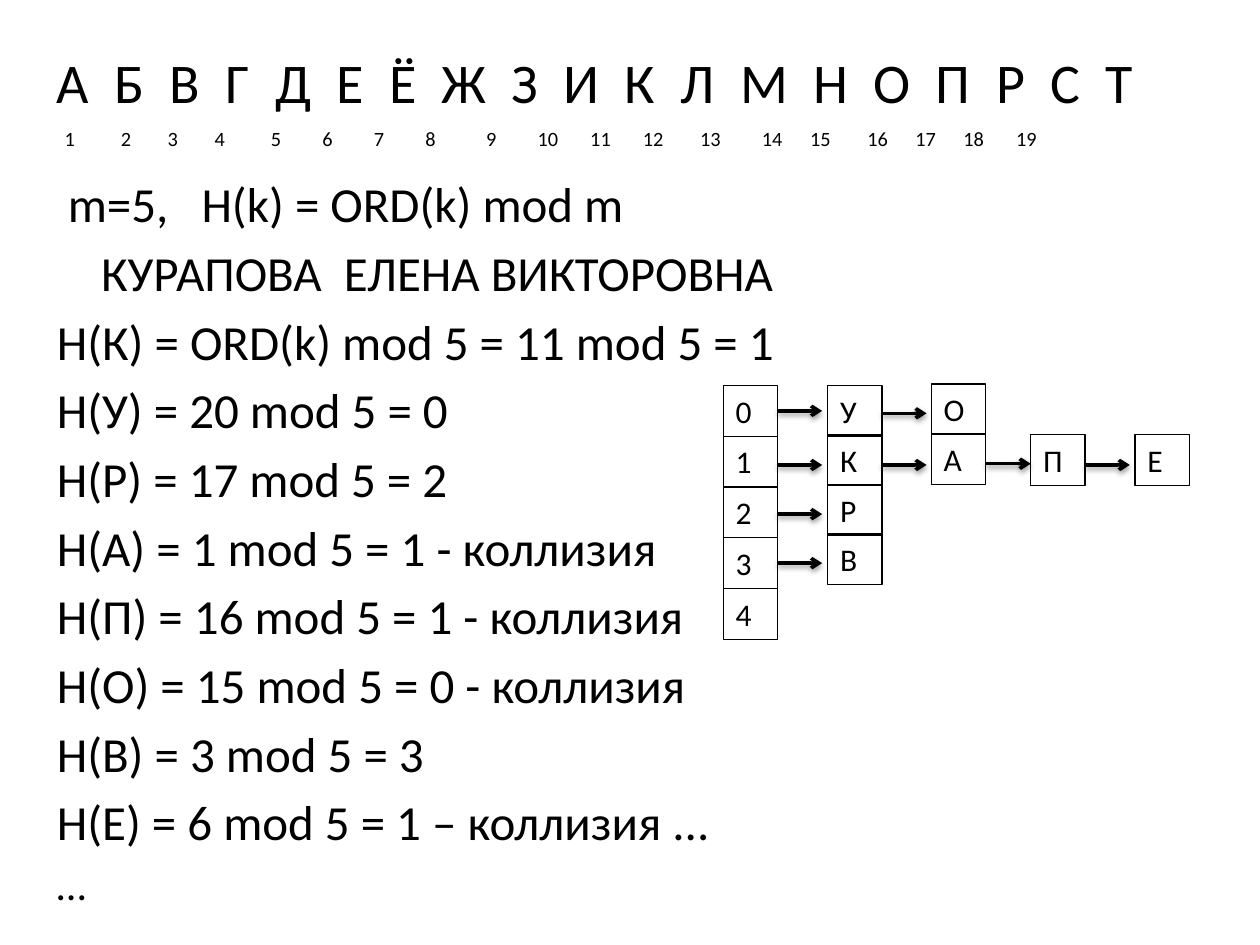
from lxml.etree import SubElement
from pptx import Presentation
from pptx.dml.color import RGBColor
from pptx.enum.shapes import MSO_CONNECTOR as CONN, MSO_SHAPE as SHAPE
from pptx.enum.text import MSO_ANCHOR as ANCHOR, PP_ALIGN as ALIGN
from pptx.oxml import parse_xml
from pptx.oxml.ns import nsdecls, qn
from pptx.util import Pt

BLACK = RGBColor(0, 0, 0)
FONT = "Calibri"
CELL_W, CELL_H = 31, 29
ARROW_W = 25.5

LETTERS = "А  Б  В  Г  Д  Е  Ё  Ж  З  И  К  Л  М  Н  О  П  Р  С  Т"
NUMBERS = ("1          2        3        4          5         6         7         8"
           "           9         10       11       12        13         14      15"
           "        16      17      18       19")
HASHES = [
    "H(К) = ORD(k) mod 5 = 11 mod 5 = 1",
    "H(У) = 20 mod 5 = 0",
    "H(Р) = 17 mod 5 = 2",
    "H(А) = 1 mod 5 = 1 - коллизия",
    "H(П) = 16 mod 5 = 1 - коллизия",
    "H(О) = 15 mod 5 = 0 - коллизия",
    "H(В) = 3 mod 5 = 3",
    "H(Е) = 6 mod 5 = 1 – коллизия ...",
]
# Columns of the hash table: left, top, row pitch, cells
COLUMNS = [
    (413.3, 220.3, 29, "01234"),
    (473, 220.3, 28.3, "УКРВ"),
    (532.2, 219.4, 28.6, "ОА"),
    (589, 248.4, 0, "П"),
    (648.6, 248.4, 0, "Е"),
]
# Loose arrows: left, y
ARROWS = [(444.3, 265.7), (444.3, 293.8), (444.3, 321.8), (504, 236.2),
          (504, 265.7), (563.5, 265), (620.1, 265.7)]


class Board:
    def __init__(self, slide):
        self.s = slide

    def text_box(self, x, y, w, h):
        tf = self.s.shapes.add_textbox(Pt(x), Pt(y), Pt(w), Pt(h)).text_frame
        tf.word_wrap = True
        return tf

    def style(self, p, size):
        p.font.name, p.font.size = FONT, Pt(size)
        p.font.color.rgb = BLACK

    def line(self, tf, text, size=28, indent=0, baseline=0):
        """Add a paragraph; baseline raises its text by that percentage."""
        p = tf.add_paragraph() if tf.text else tf.paragraphs[0]
        r = p.add_run()
        r.text = text
        p.space_before = Pt(size * 0.2)
        p._p.get_or_add_pPr().set("marL", str(Pt(indent)))
        self.style(p, size)
        if baseline:
            r._r.get_or_add_rPr().set("baseline", str(baseline * 1000))

    def cell(self, x, y, text):
        sp = self.s.shapes.add_shape(SHAPE.RECTANGLE, Pt(x), Pt(y), Pt(CELL_W), Pt(CELL_H))
        sp.shadow.inherit = False
        sp.fill.background()
        sp.line.color.rgb, sp.line.width = BLACK, Pt(0.75)
        tf = sp.text_frame
        tf.vertical_anchor = ANCHOR.TOP
        p = tf.paragraphs[0]
        p.text, p.alignment = text, ALIGN.LEFT
        self.style(p, 18)
        return sp

    def arrow(self, x, y):
        c = self.s.shapes.add_connector(CONN.STRAIGHT, Pt(x), Pt(y), Pt(x + ARROW_W), Pt(y))
        c.line.color.rgb, c.line.width = BLACK, Pt(2)
        SubElement(c.line._get_or_add_ln(), qn("a:tailEnd"), type="arrow")
        c._element.spPr.append(parse_xml(
            f'<a:effectLst {nsdecls("a")}><a:outerShdw blurRad="{Pt(3.1)}" dist="{Pt(1.6)}" '
            'dir="5400000" rotWithShape="0"><a:srgbClr val="000000"><a:alpha val="38000"/>'
            '</a:srgbClr></a:outerShdw></a:effectLst>'))
        return c


def main():
    prs = Presentation()
    prs.slide_width, prs.slide_height = Pt(720), Pt(540)
    board = Board(prs.slides.add_slide(prs.slide_layouts[6]))

    tf = board.text_box(25.4, 23.8, 674.6, 499)
    board.line(tf, LETTERS, 32)
    board.line(tf, NUMBERS, 20, indent=4.5, baseline=30)
    board.line(tf, "m=5,   H(k) = ORD(k) mod m", indent=6.3)
    board.line(tf, "КУРАПОВА  ЕЛЕНА ВИКТОРОВНА", indent=25.3)
    for text in HASHES:
        board.line(tf, text)
    board.line(tf, "…", 24)

    cells = {}
    for x, y, pitch, names in COLUMNS:
        for i, name in enumerate(names):
            cells[name] = board.cell(x, y + i * pitch, name)

    board.arrow(444.3, 234.8).begin_connect(cells["0"], 3)
    for x, y in ARROWS:
        board.arrow(x, y)

    prs.save("out.pptx")


if __name__ == "__main__":
    main()
